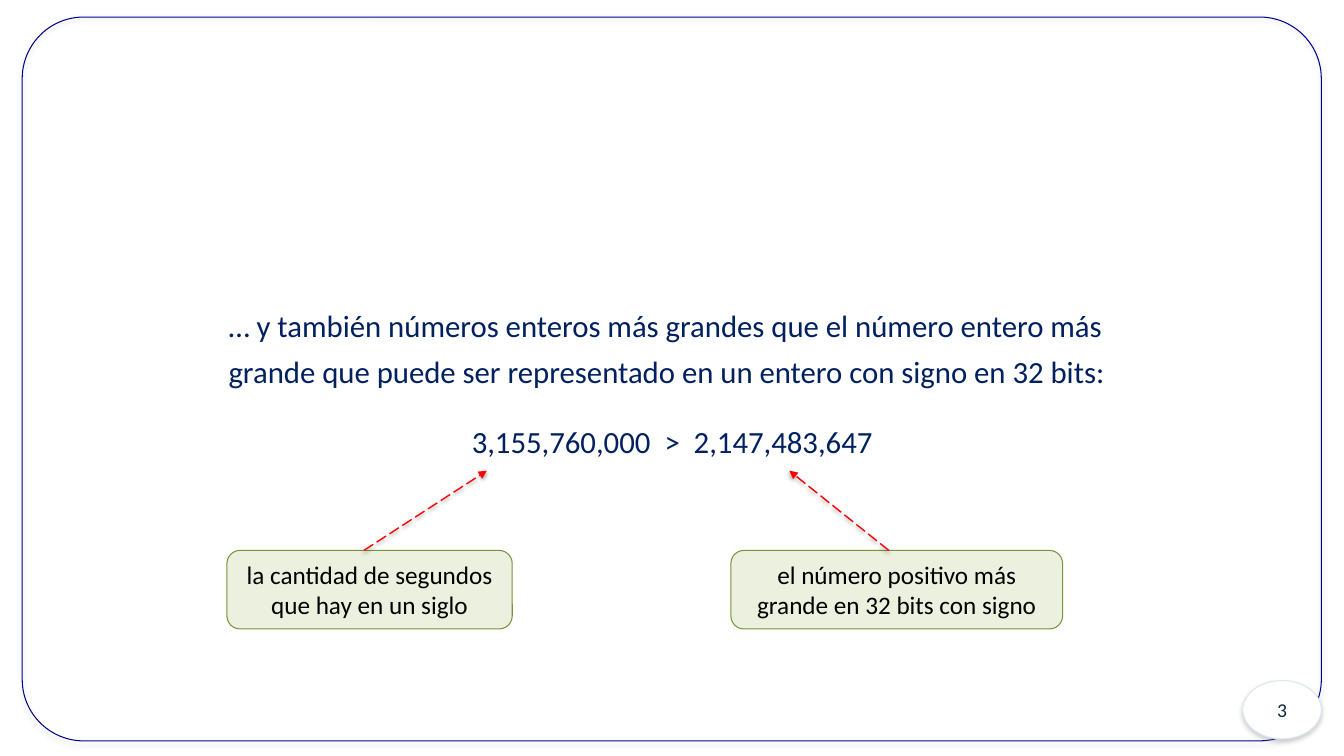
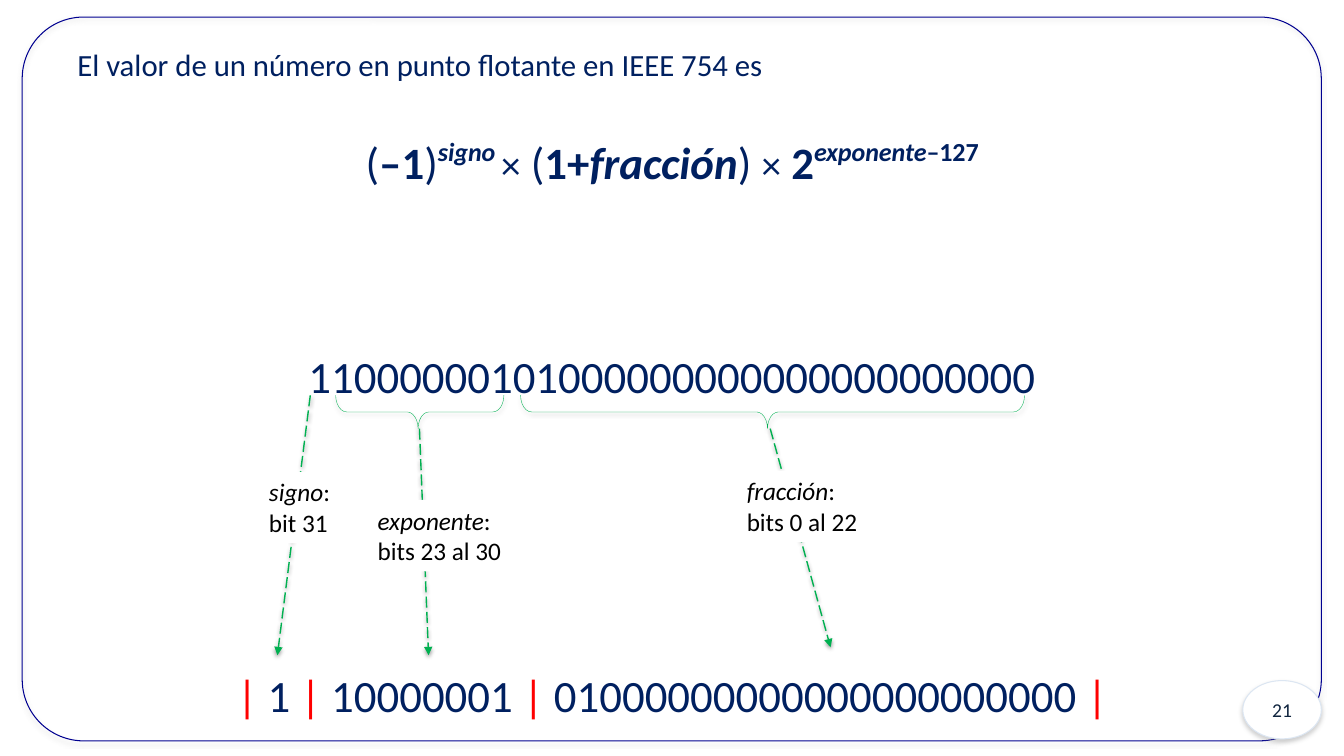
from dataclasses import dataclass, field

from lxml import etree
from pptx import Presentation
from pptx.dml.color import RGBColor
from pptx.enum.dml import MSO_LINE
from pptx.enum.shapes import MSO_CONNECTOR, MSO_SHAPE as SHAPE
from pptx.enum.text import MSO_ANCHOR as ANCHOR, PP_ALIGN as ALIGN
from pptx.oxml.ns import qn
from pptx.util import Cm, Pt

FONT = "Calibri"
NAVY, BLACK, WHITE = "002060", "000000", "FFFFFF"
RED, GREEN = "FF0000", "00B050"
FRAME_LINE, BADGE_LINE, BADGE_TEXT = "000090", "DCE6F2", "10253F"
NOTE_FILL, NOTE_LINE = "EBF1DE", "77933C"
BOLD = {"bold": True}
ITALIC = {"italic": True}
BOLD_ITALIC = BOLD | ITALIC
SMALL_SIGN = {"size": Pt(28)}


@dataclass
class Run:
    text: str
    fmt: dict = field(default_factory=dict)
    color: str = ""
    xml: dict = field(default_factory=dict)


@dataclass
class Para:
    runs: list[Run]
    fmt: dict = field(default_factory=dict)


@dataclass
class Box:
    left: float
    top: float
    width: float
    height: float

    def lengths(self) -> list[Cm]:
        return [Cm(v) for v in (self.left, self.top, self.width, self.height)]


@dataclass
class Arrow:
    x1: float
    y1: float
    x2: float
    y2: float
    color: str


@dataclass
class Note:
    box: Box
    lines: list[str]


@dataclass
class BitLabel:
    box: Box
    name: str
    bits: str


def rgb(color: str) -> RGBColor:
    return RGBColor.from_string(color)


def add_shadow(sp, color: str, alpha: int) -> None:
    """Add a soft shadow below; call it after the line is set."""
    effects = etree.SubElement(sp.element.spPr, qn("a:effectLst"))
    shadow = etree.SubElement(effects, qn("a:outerShdw"), blurRad=str(Pt(3.1)),
                              dist=str(Pt(1.7)), dir="5400000", rotWithShape="0")
    clr = etree.SubElement(shadow, qn("a:srgbClr"), val=color)
    etree.SubElement(clr, qn("a:alpha"), val=str(alpha * 1000))


def write(sp, paras: list[Para], size: float, color: str,
          anchor=ANCHOR.MIDDLE, wrap: bool = True) -> None:
    tf = sp.text_frame
    tf.word_wrap, tf.vertical_anchor = wrap, anchor
    for i, para in enumerate(paras):
        p = tf.add_paragraph() if i else tf.paragraphs[0]
        for key, value in ({"alignment": ALIGN.LEFT} | para.fmt).items():
            setattr(p, key, value)
        for run in para.runs:
            r = p.add_run()
            r.text = run.text
            for key, value in ({"name": FONT, "size": Pt(size)} | run.fmt).items():
                setattr(r.font, key, value)
            r.font.color.rgb = rgb(run.color or color)
            for key, value in run.xml.items():
                r._r.get_or_add_rPr().set(key, value)


def add_text(s, box: Box, paras: list[Para], size: float):
    sp = s.shapes.add_textbox(*box.lengths())
    write(sp, paras, size, NAVY)
    return sp


def add_shape(s, kind, box: Box, line: str, fill: str = "", width: float = 0.75):
    sp = s.shapes.add_shape(kind, *box.lengths())
    if fill:
        sp.fill.solid()
        sp.fill.fore_color.rgb = rgb(fill)
    else:
        sp.fill.background()
    sp.line.color.rgb = rgb(line)
    sp.line.width = Pt(width)
    return sp


def add_arrow(s, a: Arrow) -> None:
    c = s.shapes.add_connector(MSO_CONNECTOR.STRAIGHT,
                               Cm(a.x1), Cm(a.y1), Cm(a.x2), Cm(a.y2))
    c.line.color.rgb = rgb(a.color)
    c.line.width = Pt(1)
    c.line.dash_style = MSO_LINE.LONG_DASH
    etree.SubElement(c.element.spPr.find(qn("a:ln")), qn("a:tailEnd"), type="triangle")
    add_shadow(c, BLACK, 38)


def add_brace(s, box: Box) -> None:
    """Draw a brace that opens upward and fills the given box."""
    turned = Box(box.left + (box.width - box.height) / 2,
                 box.top + (box.height - box.width) / 2, box.height, box.width)
    sp = add_shape(s, SHAPE.LEFT_BRACE, turned, GREEN, width=0.25)
    sp.rotation = 270
    sp.adjustments[0], sp.adjustments[1] = 0.33, 0.49
    add_shadow(sp, BLACK, 38)


def add_note(s, note: Note) -> None:
    sp = add_shape(s, SHAPE.ROUNDED_RECTANGLE, note.box, NOTE_LINE, NOTE_FILL)
    sp.shadow.inherit = False
    paras = [Para([Run(line)], {"alignment": ALIGN.CENTER}) for line in note.lines]
    write(sp, paras, 18, BLACK)


def add_bit_label(s, label: BitLabel) -> None:
    sp = s.shapes.add_textbox(*label.box.lengths())
    sp.fill.solid()
    sp.fill.fore_color.rgb = rgb(WHITE)
    paras = [Para([Run(label.name, ITALIC), Run(":")]), Para([Run(label.bits)])]
    write(sp, paras, 18, BLACK, ANCHOR.TOP, wrap=False)


def add_row(s, center: float, runs: list[Run], size: float = 32,
            align=ALIGN.CENTER) -> None:
    """Add one line of text centred on a height."""
    height = 1.8
    add_text(s, Box(1.7, center - height / 2, 30.48, height),
             [Para(runs, {"alignment": align})], size)


def add_framed_slide(prs, number: int):
    s = prs.slides.add_slide(prs.slide_layouts[6])
    frame = add_shape(s, SHAPE.ROUNDED_RECTANGLE, Box(0.56, 0.43, 32.74, 18.24), FRAME_LINE)
    frame.adjustments[0] = 0.085
    badge = add_shape(s, SHAPE.OVAL, Box(31.32, 17.15, 1.98, 1.47), BADGE_LINE, WHITE)
    for sp in (frame, badge):
        add_shadow(sp, "808080", 35)
    write(badge, [Para([Run(str(number))], {"alignment": ALIGN.CENTER})], 14, BADGE_TEXT)
    return s


def build_big_integers(prs) -> None:
    s = add_framed_slide(prs, 3)
    wide_space = Run(" ", xml={"spc": "500"})
    add_text(s, Box(5.51, 0.81, 22.86, 17.45), [
        Para([Run("… y también números enteros más grandes que el número entero más "
                  "grande que puede ser representado en un entero con signo en 32 bits:")],
             {"line_spacing": 1.25, "space_before": Pt(22)}),
        Para([Run("3,155,760,000"), wide_space, Run(">"), wide_space, Run("2,147,483,647")],
             {"line_spacing": 1.25, "space_before": Pt(17), "alignment": ALIGN.CENTER}),
    ], 22)
    top = 13.87
    for note in (
        Note(Box(5.72, top, 7.19, 1.98), ["la cantidad de segundos", "que hay en un siglo"]),
        Note(Box(18.42, top, 8.36, 1.98),
             ["el número positivo más grande en 32 bits con signo"]),
    ):
        add_note(s, note)
    for x1, x2 in ((9.17, 12.27), (22.4, 19.89)):
        add_arrow(s, Arrow(x1, top, x2, 11.86, RED))


def build_float_value(prs) -> None:
    s = add_framed_slide(prs, 21)
    raised = {"baseline": "40000"}
    add_row(s, 1.61, [Run("El valor de un número en punto flotante en IEEE 754 es")],
            22, ALIGN.LEFT)
    add_row(s, 4.08, [
        Run("("), Run("–1", BOLD), Run(")"), Run("signo ", BOLD_ITALIC, xml=raised),
        Run("×", SMALL_SIGN), Run(" ", BOLD), Run("("), Run("1+", BOLD),
        Run("fracción", BOLD_ITALIC), Run(") "), Run("×", SMALL_SIGN), Run(" 2", BOLD),
        Run("exponente", BOLD_ITALIC, xml=raised), Run("–127", BOLD, xml=raised),
    ])

    fields = ["1", "10000001", "01" + "0" * 21]
    bar = Run("|", color=RED)
    split_runs = [bar]
    for bits in fields:
        split_runs += [Run(f" {bits} "), bar]
    add_row(s, 9.47, [Run("".join(fields))])
    add_row(s, 17.51, split_runs)

    for left, width in ((8.46, 4.24), (13.12, 12.7)):
        add_brace(s, Box(left, 9.96, width, 0.84))
    for ends in ((7.82, 9.96, 6.99, 16.51), (10.57, 10.8, 10.8, 16.51),
                 (19.41, 10.8, 20.93, 16.31)):
        add_arrow(s, Arrow(*ends, GREEN))
    for label in (
        BitLabel(Box(6.53, 11.89, 2.06, 1.8), "signo", "bit 31"),
        BitLabel(Box(9.27, 12.6, 3.66, 1.8), "exponente", "bits 23 al 30"),
        BitLabel(Box(18.57, 11.86, 3.33, 1.8), "fracción", "bits 0 al 22"),
    ):
        add_bit_label(s, label)


def main() -> None:
    prs = Presentation()
    prs.slide_width, prs.slide_height = Cm(33.87), Cm(19.05)
    build_big_integers(prs)
    build_float_value(prs)
    prs.save("out.pptx")


if __name__ == "__main__":
    main()
